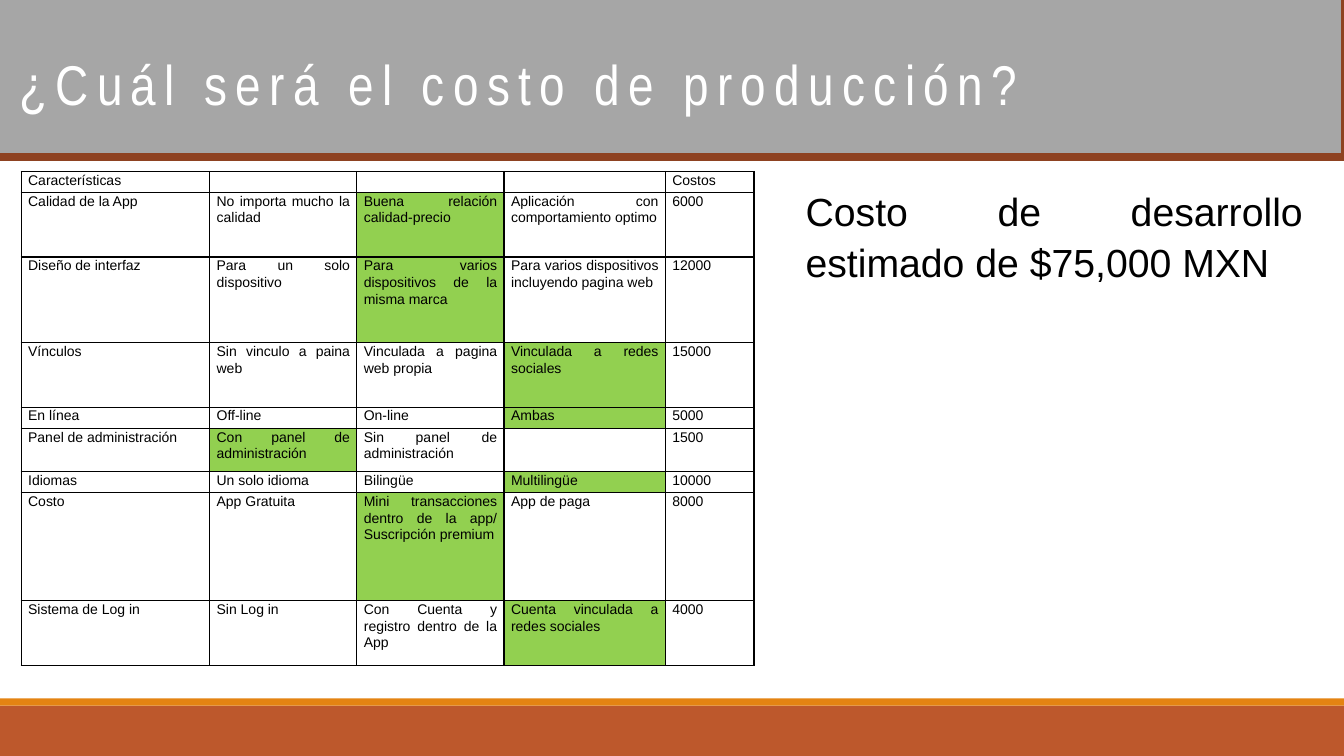
from lxml import etree
from pptx import Presentation
from pptx.dml.color import RGBColor
from pptx.enum.shapes import MSO_SHAPE
from pptx.enum.text import MSO_ANCHOR, MSO_AUTO_SIZE, PP_ALIGN
from pptx.oxml.ns import qn
from pptx.util import Inches, Pt

RECT = MSO_SHAPE.RECTANGLE
TOP, MIDDLE = MSO_ANCHOR.TOP, MSO_ANCHOR.MIDDLE
FIXED = MSO_AUTO_SIZE.NONE
LEFT, JUSTIFY = PP_ALIGN.LEFT, PP_ALIGN.JUSTIFY

COLORS = {
    "rust": "BD582C", "orange": "E48312", "gray": "A6A6A6", "brown": "8E4221",
    "green": "92D050", "white": "FFFFFF", "black": "000000",
}
COLS = [1.87, 1.46, 1.46, 1.6, 0.88]
# Row height, chosen column (None if no option is chosen), cell texts
ROWS = [
    (0.21, None, ["Características", "", "", "", "Costos"]),
    (0.64, 2, ["Calidad de la App", "No importa mucho la calidad",
               "Buena relación calidad-precio",
               "Aplicación con comportamiento optimo", "6000"]),
    (0.85, 2, ["Diseño de interfaz", "Para un solo dispositivo",
               "Para varios dispositivos de la misma marca",
               "Para varios dispositivos incluyendo pagina web", "12000"]),
    (0.64, 3, ["Vínculos", "Sin vinculo a paina web",
               "Vinculada a pagina web propia",
               "Vinculada a redes sociales", "15000"]),
    (0.21, 3, ["En línea", "Off-line", "On-line", "Ambas", "5000"]),
    (0.43, 1, ["Panel de administración", "Con panel de administración",
               "Sin panel de administración", "", "1500"]),
    (0.21, 3, ["Idiomas", "Un solo idioma", "Bilingüe", "Multilingüe", "10000"]),
    (1.07, 2, ["Costo", "App Gratuita",
               "Mini transacciones dentro de la app/ Suscripción premium",
               "App de paga", "8000"]),
    (0.64, 3, ["Sistema de Log in", "Sin Log in",
               "Con Cuenta y registro dentro de la App",
               "Cuenta vinculada a redes sociales", "4000"]),
]


def rgb(name):
    return RGBColor.from_string(COLORS[name])


def add_band(slide, box, color, edge=None):
    band = slide.shapes.add_shape(RECT, *map(Inches, box))
    band.shadow.inherit = False
    band.fill.solid()
    band.fill.fore_color.rgb = rgb(color)
    if edge:
        band.line.color.rgb = rgb(edge)
        band.line.width = Pt(6)
    else:
        band.line.fill.background()


def style(par, size, font, color, align):
    par.alignment = align
    for run in par.runs:
        run.font.size = Pt(size)
        run.font.name = font
        run.font.color.rgb = rgb(color)


def place(holder, box, text, anchor):
    """Move a placeholder, fill in its text and return the paragraph."""
    holder.left, holder.top, holder.width, holder.height = map(Inches, box)
    frame = holder.text_frame
    frame.text = text
    frame.word_wrap = True
    frame.auto_size = FIXED
    frame.vertical_anchor = anchor
    return frame.paragraphs[0]


def add_title(slide):
    par = place(slide.shapes.title, (0.09, 0.44, 13.48, 0.77),
                "¿Cuál será el costo de producción?", MIDDLE)
    style(par, 40, "Arial Narrow", "white", LEFT)
    par.runs[0].font._element.set("spc", "600")


def add_body(slide):
    par = place(slide.placeholders[1], (7.89, 1.78, 5.13, 1.11),
                "Costo de desarrollo estimado de $75,000 MXN", TOP)
    style(par, 28, "Arial", "black", JUSTIFY)
    par.line_spacing = 1.07
    par.space_before = Pt(0)
    par.space_after = Pt(8)
    props = par._p.get_or_add_pPr()
    props.set("marL", "0")
    props.set("indent", "0")
    etree.SubElement(props, qn("a:buNone"))


def add_borders(cell):
    props = cell._tc.get_or_add_tcPr()
    for spot, side in enumerate(("lnL", "lnR", "lnT", "lnB")):
        line = etree.Element(qn("a:" + side), w=str(Pt(1)))
        fill = etree.SubElement(line, qn("a:solidFill"))
        etree.SubElement(fill, qn("a:srgbClr"), val=COLORS["black"])
        props.insert(spot, line)


def fill_cell(cell, text, color):
    cell.text = text
    cell.margin_left = cell.margin_right = Inches(0.07)
    cell.margin_top = cell.margin_bottom = 0
    cell.fill.solid()
    cell.fill.fore_color.rgb = rgb(color)
    par = cell.text_frame.paragraphs[0]
    style(par, 10, "Arial", "black", JUSTIFY)
    par.line_spacing = 1.07
    if not text:
        etree.SubElement(par._p, qn("a:endParaRPr"), sz="1000")
    add_borders(cell)


def add_costs(slide):
    high = sum(row[0] for row in ROWS)
    frame = slide.shapes.add_table(
        len(ROWS), len(COLS), Inches(0.21), Inches(1.7),
        Inches(sum(COLS)), Inches(high))
    table = frame.table
    table.first_row = table.horz_banding = False
    for col, width in zip(table.columns, COLS):
        col.width = Inches(width)
    for r, (height, pick, texts) in enumerate(ROWS):
        table.rows[r].height = Inches(height)
        for c, text in enumerate(texts):
            fill_cell(table.cell(r, c), text, "green" if c == pick else "white")


def main():
    prs = Presentation()
    prs.slide_width, prs.slide_height = Inches(13.33), Inches(7.5)
    slide = prs.slides.add_slide(prs.slide_layouts[1])
    add_band(slide, (0, 7, 13.33, 0.5), "rust")
    add_band(slide, (0, 6.93, 13.33, 0.07), "orange")
    add_band(slide, (-0.34, -0.54, 13.68, 2.1), "gray", "brown")
    # Bring the title in front of the header band
    slide.shapes._spTree.append(slide.shapes.title._element)
    add_title(slide)
    add_costs(slide)
    add_body(slide)
    prs.save("out.pptx")


if __name__ == "__main__":
    main()
